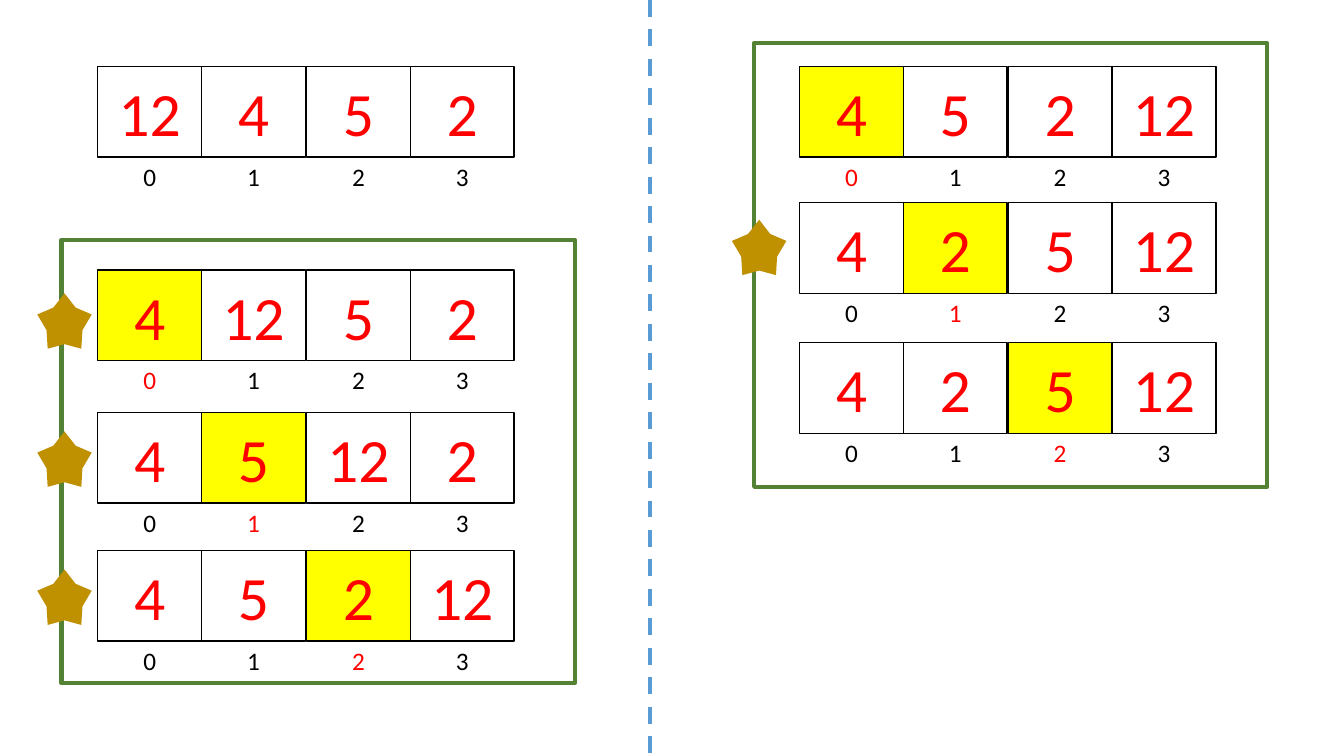
"""Array passes of a bubble sort, split in two columns."""
from pptx import Presentation, util as u
from pptx.dml.color import RGBColor
from pptx.enum import dml, shapes, text
from pptx.oxml.ns import qn
from lxml import etree

PX = 9144
WHITE = RGBColor(0xFF, 0xFF, 0xFF)
BLACK = RGBColor(0x00, 0x00, 0x00)
RED = RGBColor(0xFF, 0x00, 0x00)
YELLOW = RGBColor(0xFF, 0xFF, 0x00)
GREEN = RGBColor(0x54, 0x82, 0x35)
BLUE = RGBColor(0x5B, 0x9B, 0xD5)
GOLD = RGBColor(0xBF, 0x90, 0x00)
RECT = shapes.MSO_SHAPE.RECTANGLE
STAR = shapes.MSO_SHAPE.STAR_5_POINT
TOP = text.MSO_ANCHOR.TOP
MID = text.MSO_ANCHOR.MIDDLE


def add_form(home, kind, box, fill=WHITE, line=None, width=1):
    form = home.shapes.add_shape(kind, *[n * PX for n in box])
    form.shadow.inherit = False
    form.fill.solid()
    form.fill.fore_color.rgb = fill
    if line is None:
        form.line.fill.background()
    else:
        form.line.color.rgb = line
        form.line.width = u.Pt(width)
    return form


def add_text(form, words, size=18, color=BLACK, anchor=MID):
    frame = form.text_frame
    frame.vertical_anchor = anchor
    para = frame.paragraphs[0]
    para.alignment = text.PP_ALIGN.CENTER
    run = para.add_run()
    run.text = words
    run.font.name = "Calibri"
    run.font.size = u.Pt(size)
    run.font.color.rgb = color


deck = Presentation()
deck.slide_width = 1333 * PX
deck.slide_height = 750 * PX
slide = deck.slides.add_slide(deck.slide_layouts[6])

split = slide.shapes.add_connector(
    shapes.MSO_CONNECTOR.STRAIGHT, 645 * PX, 0, 645 * PX, 750 * PX)
split.line.color.rgb = BLUE
split.line.width = u.Pt(3)
split.line.dash_style = dml.MSO_LINE.DASH
etree.SubElement(split._element.spPr, qn("a:effectLst"))

for left, top in [(61, 238), (748, 43)]:
    add_form(slide, RECT, (left, top, 509, 440), line=GREEN, width=3)

WIDE, HIGH, FOOT = 103, 90, 36
ROWS = [
    (97, 66, (12, 4, 5, 2), None),
    (97, 268, (4, 12, 5, 2), 0),
    (97, 409, (4, 5, 12, 2), 1),
    (97, 546, (4, 5, 2, 12), 2),
    (793, 66, (4, 5, 2, 12), 0),
    (793, 201, (4, 2, 5, 12), 1),
    (793, 340, (4, 2, 5, 12), 2),
]
for left, top, values, mark in ROWS:
    labels = slide.shapes.add_group_shape()
    for col, value in enumerate(values):
        x = left + 414 * col // 4
        label = add_form(labels, RECT, (x, top + HIGH - 1, WIDE, FOOT))
        add_text(label, str(col), color=RED if col == mark else BLACK, anchor=TOP)
        cell = add_form(slide, RECT, (x, top, WIDE, HIGH),
                        fill=YELLOW if col == mark else WHITE, line=BLACK)
        add_text(cell, str(value), size=44, color=RED)

for left, top in [(37, 291), (37, 428), (37, 565), (726, 218)]:
    star = add_form(slide, STAR, (left, top, 54, 55), fill=GOLD)
    star.adjustments[0] = 0.33

deck.save("out.pptx")
